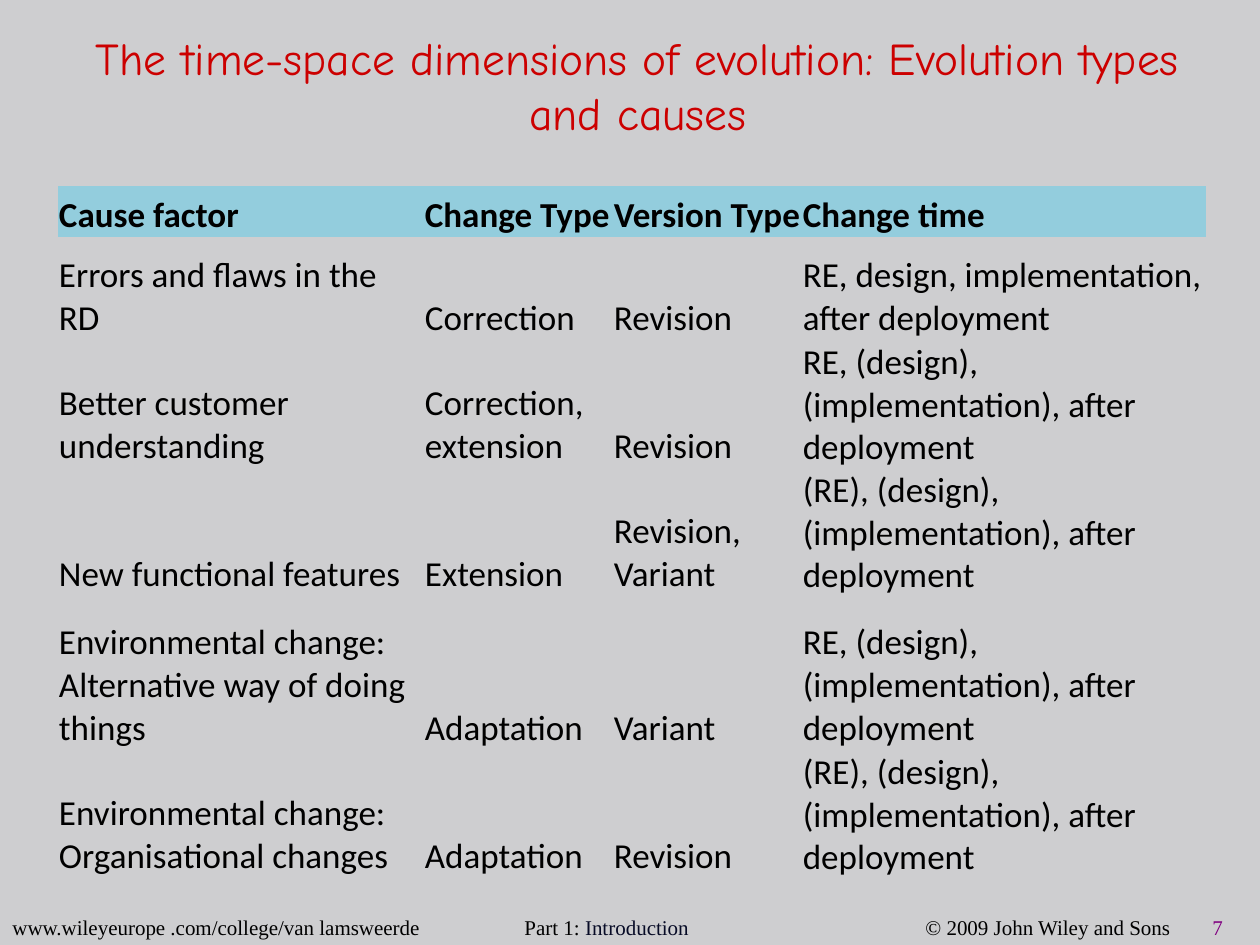
from lxml.etree import SubElement
from pptx import Presentation
from pptx.dml.color import RGBColor
from pptx.enum.text import MSO_ANCHOR as Anchor, PP_ALIGN as Align
from pptx.oxml.ns import qn
from pptx.util import Emu, Pt

EMU_PER_PX = 914400 // 126
SLIDE_SIZE = (1260, 945)
COLORS = {
    "background": "CECED0",
    "title": "CC0000",
    "header": "93CDDD",
    "text": "000000",
    "part": "070B26",
    "number": "800080",
}
NO_GRID_STYLE = "{2D5ABB26-0587-4C30-8999-92F81FD0307C}"

COLUMN_WIDTHS = [366, 189, 189, 404]
ROW_HEIGHTS = [51, 103, 128, 128, 154, 128]
ROWS = [
    ("Cause factor", "Change Type", "Version Type", "Change time"),
    ("Errors and flaws in the RD", "Correction", "Revision",
     "RE, design, implementation, after deployment"),
    ("Better customer understanding", "Correction, extension", "Revision",
     "RE, (design), (implementation), after deployment"),
    ("New functional features", "Extension", "Revision, Variant",
     "(RE), (design), (implementation), after deployment"),
    ("Environmental change: Alternative way of doing things", "Adaptation", "Variant",
     "RE, (design), (implementation), after deployment"),
    ("Environmental change: Organisational changes", "Adaptation", "Revision",
     "(RE), (design), (implementation), after deployment"),
]
FOOTER_TABS = [512, 913, 1200]
FOOTER_RUNS = [
    ("www.wileyeurope .com/college/van lamsweerde\tPart 1: ", "text"),
    ("Introduction\t", "part"),
    ("© 2009 John Wiley and Sons\t", "text"),
    ("7", "number"),
]


def px(length):
    return Emu(length * EMU_PER_PX)


def rgb(name):
    return RGBColor.from_string(COLORS[name])


def add_run(paragraph, text, font_name, size, color, bold=False):
    run = paragraph.add_run()
    run.text = text
    run.font.name = font_name
    run.font.size = Pt(size)
    run.font.bold = bold
    run.font.color.rgb = rgb(color)


def add_text_box(slide, left, top, width, height, anchor):
    shape = slide.shapes.add_textbox(px(left), px(top), px(width), px(height))
    frame = shape.text_frame
    frame.word_wrap = True
    frame.vertical_anchor = anchor
    return frame.paragraphs[0]


def add_tabs(paragraph, positions):
    tab_list = SubElement(paragraph._p.get_or_add_pPr(), qn("a:tabLst"))
    for position in positions:
        SubElement(tab_list, qn("a:tab"), pos=str(px(position)), algn="l")


def add_title(slide):
    paragraph = add_text_box(slide, 42, 32, 1192, 105, Anchor.MIDDLE)
    paragraph.alignment = Align.CENTER
    add_run(paragraph, "The time-space dimensions of evolution: Evolution types and causes",
            "Comic Neue", 26, "title")


def fill_cell(cell, text, is_header):
    cell.margin_left = cell.margin_right = cell.margin_top = px(1)
    cell.margin_bottom = 0
    cell.vertical_anchor = Anchor.BOTTOM
    if is_header:
        cell.fill.solid()
        cell.fill.fore_color.rgb = rgb("header")
    else:
        cell.fill.background()
    add_run(cell.text_frame.paragraphs[0], text, "Calibri", 20, "text", is_header)


def add_cause_table(slide):
    frame = slide.shapes.add_table(len(ROWS), len(COLUMN_WIDTHS), px(58), px(186),
                                   px(sum(COLUMN_WIDTHS)), px(sum(ROW_HEIGHTS)))
    table = frame.table
    table.first_row = table.horz_banding = False
    table._tbl.tblPr.find(qn("a:tableStyleId")).text = NO_GRID_STYLE
    for column, width in zip(table.columns, COLUMN_WIDTHS):
        column.width = px(width)
    for index, (row, height) in enumerate(zip(table.rows, ROW_HEIGHTS)):
        row.height = px(height)
        for cell, text in zip(row.cells, ROWS[index]):
            fill_cell(cell, text, index == 0)


def add_footer(slide):
    paragraph = add_text_box(slide, 0, 915, 1256, 30, Anchor.TOP)
    paragraph.line_spacing = 0.7
    add_tabs(paragraph, FOOTER_TABS)
    for text, color in FOOTER_RUNS:
        add_run(paragraph, text, "Times New Roman", 12, color)


def main():
    presentation = Presentation()
    presentation.slide_width, presentation.slide_height = map(px, SLIDE_SIZE)
    slide = presentation.slides.add_slide(presentation.slide_layouts[6])
    slide.background.fill.solid()
    slide.background.fill.fore_color.rgb = rgb("background")

    # Footer strip, then the title and the table
    add_footer(slide)
    add_title(slide)
    add_cause_table(slide)
    presentation.save("out.pptx")


if __name__ == "__main__":
    main()
